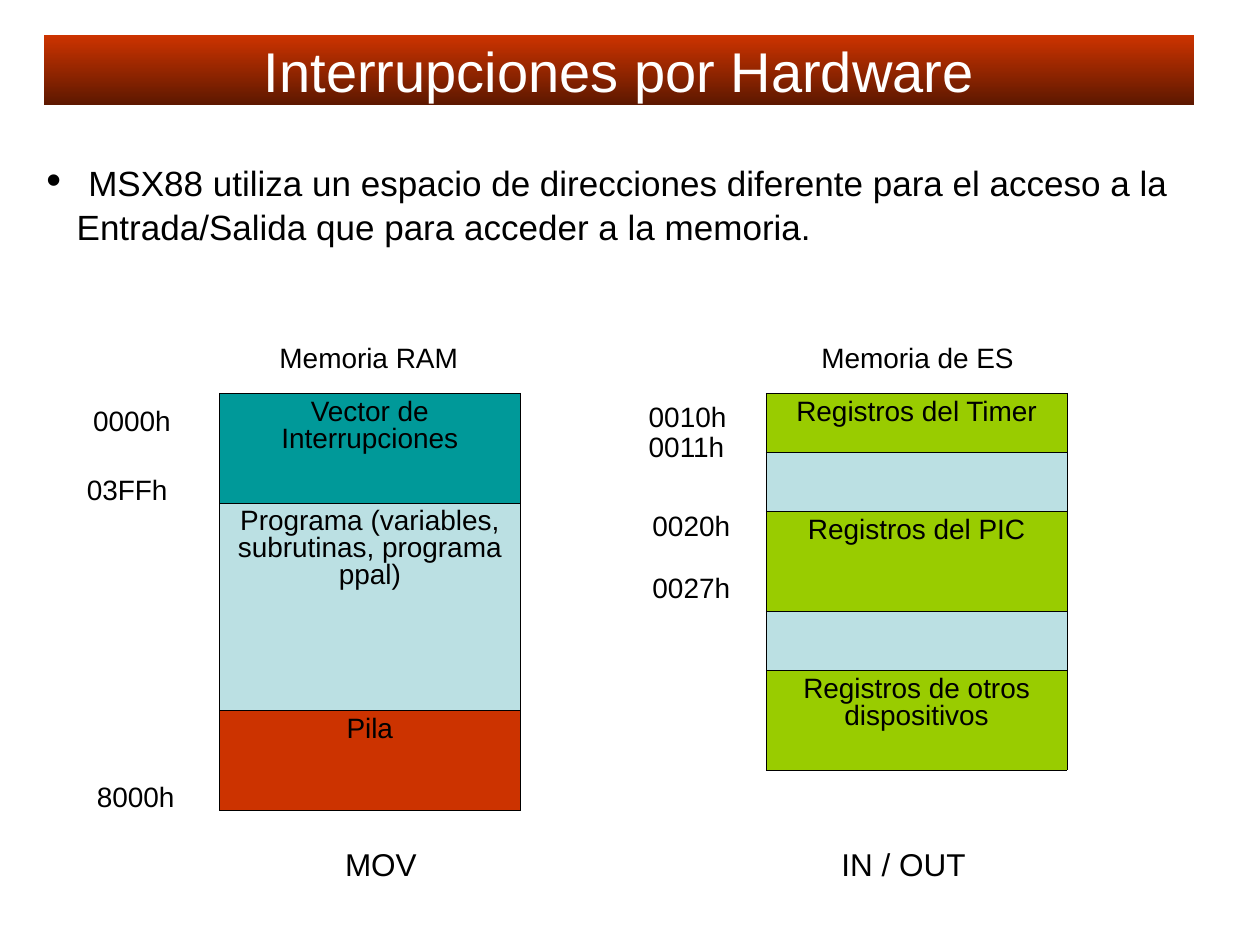
from lxml import etree
from pptx import Presentation
from pptx import util as u
from pptx.dml import color as col
from pptx.enum import shapes, text
from pptx.oxml import ns


def rgb(code):
    return col.RGBColor.from_string(code)


def put(frame, words, size=16, color="000000", align=None, space=None):
    """Write words into the first paragraph of a text frame."""
    para = frame.paragraphs[0]
    if align:
        para.alignment = align
    if space:
        para.line_spacing = space
    run = para.add_run()
    run.text = words
    run.font.name = "Arial"
    run.font.size = u.Pt(size)
    run.font.color.rgb = rgb(color)


class Page:
    mid = text.PP_ALIGN.CENTER
    edge = 0.23

    def __init__(self, slide):
        self.slide = slide

    def title(self, words, box, top, end):
        bar = self.slide.shapes.add_shape(
            shapes.MSO_SHAPE.RECTANGLE, *map(u.Inches, box))
        bar.shadow.inherit = False
        bar.line.fill.background()
        bar.fill.gradient()
        bar.fill.gradient_angle = 270
        for stop, code, place in zip(bar.fill.gradient_stops, (top, end), (0, 1)):
            stop.color.rgb = rgb(code)
            stop.position = place
        frame = bar.text_frame
        frame.vertical_anchor = text.MSO_ANCHOR.MIDDLE
        put(frame, words, size=32, color="FFFFFF", align=self.mid)

    def label(self, words, box, size=16):
        frame = self.slide.shapes.add_textbox(*map(u.Inches, box)).text_frame
        frame.word_wrap = False
        put(frame, words, size=size)

    def point(self, words, box):
        frame = self.slide.shapes.add_textbox(*map(u.Inches, box)).text_frame
        frame.word_wrap = True
        props = frame.paragraphs[0]._p.get_or_add_pPr()
        props.set("marL", str(u.Inches(0.24)))
        props.set("indent", str(-u.Inches(0.24)))
        etree.SubElement(props, ns.qn("a:buFont"), typeface="Arial")
        etree.SubElement(props, ns.qn("a:buChar"), char="•")
        put(frame, " ", size=24)
        put(frame, words, size=20)

    def border(self, cell):
        props = cell._tc.get_or_add_tcPr()
        for spot, side in enumerate(("lnL", "lnR", "lnT", "lnB")):
            line = etree.Element(ns.qn("a:" + side), w=str(u.Pt(self.edge)))
            fill = etree.SubElement(line, ns.qn("a:solidFill"))
            etree.SubElement(fill, ns.qn("a:srgbClr"), val="000000")
            props.insert(spot, line)

    def map(self, left, top, width, rows):
        """Draw a memory map; rows hold height, fill and words."""
        tall = sum(row[0] for row in rows)
        table = self.slide.shapes.add_table(
            len(rows), 1, *map(u.Inches, (left, top, width, tall))).table
        table.first_row = table.horz_banding = False
        for spot, (high, fill, words) in enumerate(rows):
            table.rows[spot].height = u.Inches(high)
            cell = table.cell(spot, 0)
            cell.fill.solid()
            cell.fill.fore_color.rgb = rgb(fill)
            self.border(cell)
            if words:
                put(cell.text_frame, words, align=self.mid, space=0.87)


def main():
    deck = Presentation()
    deck.slide_width, deck.slide_height = u.Inches(10), u.Inches(7.5)
    page = Page(deck.slides.add_slide(deck.slide_layouts[6]))
    red, teal, pale, green = "CC3300", "009999", "BBE0E3", "99CC00"

    page.title("Interrupciones por Hardware", (0.35, 0.28, 9.13, 0.55), red, "5E1800")
    page.point("MSX88 utiliza un espacio de direcciones diferente para el acceso "
               "a la Entrada/Salida que para acceder a la memoria.",
               (0.27, 1.18, 9.73, 0.84))

    page.map(1.74, 3.12, 2.39, [
        (0.87, teal, "Vector de Interrupciones"),
        (1.65, pale, "Programa (variables, subrutinas, programa ppal)"),
        (0.79, red, "Pila"),
    ])
    page.map(6.08, 3.12, 2.39, [
        (0.47, green, "Registros del Timer"),
        (0.47, pale, ""),
        (0.79, green, "Registros del PIC"),
        (0.47, pale, ""),
        (0.79, green, "Registros de otros dispositivos"),
    ])

    for words, left, width in (("Memoria RAM", 2.12, 1.64),
                               ("Memoria de ES", 6.42, 1.75)):
        page.label(words, (left, 2.65, width, 0.37))
    for words, left, top in (
            ("0000h", 0.64, 3.15), ("03FFh", 0.59, 3.7), ("8000h", 0.67, 6.14),
            ("0010h", 5.05, 3.12), ("0011h", 5.05, 3.36),
            ("0020h", 5.08, 3.99), ("0027h", 5.08, 4.48)):
        page.label(words, (left, top, 0.85, 0.37))
    for words, left, width in (("MOV", 2.64, 0.79), ("IN / OUT", 6.58, 1.34)):
        page.label(words, (left, 6.66, width, 0.4), size=18)

    deck.save("out.pptx")


if __name__ == "__main__":
    main()
